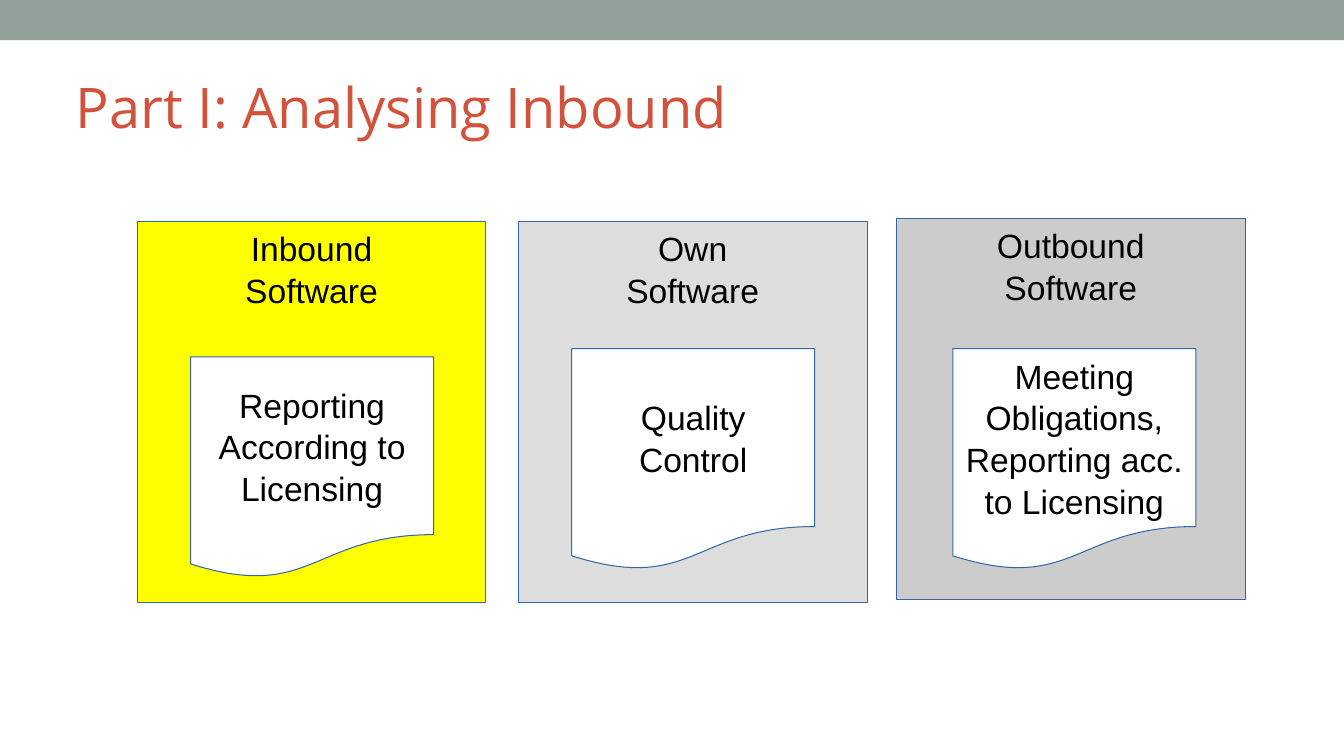
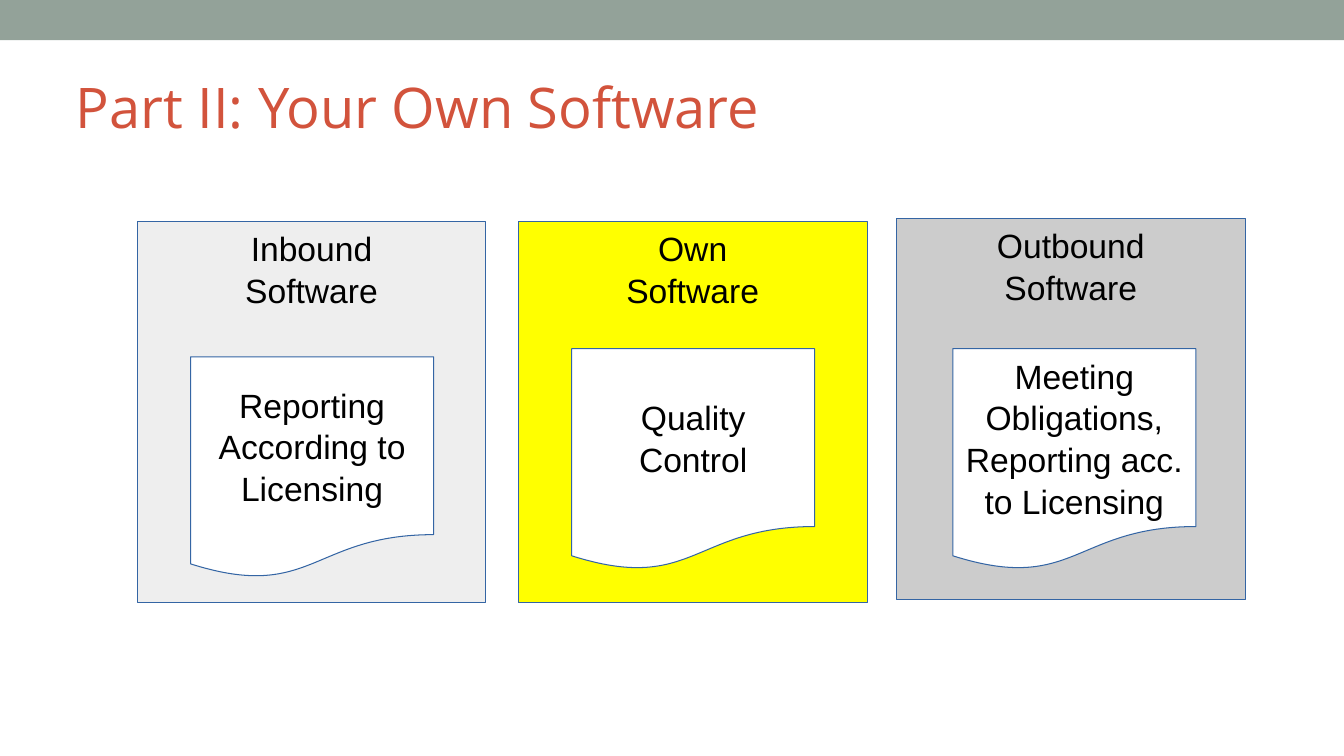
import dataclasses

import pptx
import pptx.dml.color
import pptx.enum.shapes
import pptx.enum.text
import pptx.util

Inches = pptx.util.Inches
Pt = pptx.util.Pt
RGB = pptx.dml.color.RGBColor.from_string
SHAPES = pptx.enum.shapes.MSO_SHAPE
ALIGN = pptx.enum.text.PP_ALIGN
ANCHOR = pptx.enum.text.MSO_ANCHOR


@dataclasses.dataclass(frozen=True)
class Theme:
    band: str = "93A299"
    heading: str = "D2533C"
    ink: str = "000000"
    outline: str = "3465A4"
    paper: str = "FFFFFF"
    highlight: str = "FFFF00"
    stages: tuple = ("EEEEEE", "DDDDDD", "CCCCCC")
    heading_font: str = "Open Sans"
    body_font: str = "Arial"
    heading_size: int = 40
    body_size: int = 24


theme = Theme()


def write(shape, text, font=theme.body_font, size=theme.body_size, color=theme.ink,
          align=ALIGN.CENTER, anchor=ANCHOR.TOP, inset=(0.1, 0.05), spacing=1.04):
    frame = shape.text_frame
    frame.word_wrap = True
    frame.vertical_anchor = anchor
    frame.margin_left = frame.margin_right = Inches(inset[0])
    frame.margin_top = frame.margin_bottom = Inches(inset[1])
    frame.text = text
    for paragraph in frame.paragraphs:
        paragraph.alignment = align
        paragraph.line_spacing = spacing
        for run in paragraph.runs:
            run.font.name = font
            run.font.size = Pt(size)
            run.font.color.rgb = RGB(color)


def draw(slide, preset, left, top, width, height, fill, line=None):
    shape = slide.shapes.add_shape(
        preset, Inches(left), Inches(top), Inches(width), Inches(height))
    shape.shadow.inherit = False
    shape.fill.solid()
    shape.fill.fore_color.rgb = RGB(fill)
    if line:
        shape.line.color.rgb = RGB(line)
        shape.line.width = Pt(0.75)
    else:
        shape.line.fill.background()
    return shape


SLIDE_W, SLIDE_H = 13.33, 7.5
COLUMN_STEP = 3.78
STAGE_LEFT, STAGE_TOP, STAGE_W, STAGE_H = 1.36, 2.2, 3.46, 3.78
TASK_LEFT, TASK_TOP, TASK_W, TASK_H = 1.89, 3.46, 2.41, 2.2

stages = [
    ("Inbound\nSoftware", (0, 0), "Reporting\vAccording to\vLicensing", 0.08),
    ("Own\nSoftware", (0, 0), "Quality\vControl", 0),
    ("Outbound\vSoftware", (-0.03, -0.03),
     "Meeting\vObligations,\nReporting acc.\vto Licensing", 0),
]
parts = [("Part I: Analysing Inbound", 0), ("Part II: Your Own Software", 1)]

deck = pptx.Presentation()
deck.slide_width = Inches(SLIDE_W)
deck.slide_height = Inches(SLIDE_H)

for heading, current in parts:
    slide = deck.slides.add_slide(deck.slide_layouts[6])
    draw(slide, SHAPES.RECTANGLE, 0, 0, SLIDE_W, 0.4, theme.band)
    title = slide.shapes.add_textbox(Inches(0.75), Inches(0.24), Inches(12), Inches(1.15))
    write(title, heading, font=theme.heading_font, size=theme.heading_size,
          color=theme.heading, align=ALIGN.LEFT, anchor=ANCHOR.BOTTOM,
          inset=(0, 0), spacing=1.0)

    for column, (stage, (shift_x, shift_y), task, task_drop) in enumerate(stages):
        offset = column * COLUMN_STEP
        fill = theme.highlight if column == current else theme.stages[column]
        panel = draw(slide, SHAPES.RECTANGLE, STAGE_LEFT + offset + shift_x,
                     STAGE_TOP + shift_y, STAGE_W, STAGE_H, fill, theme.outline)
        write(panel, stage)
        document = draw(slide, SHAPES.FLOWCHART_DOCUMENT, TASK_LEFT + offset,
                        TASK_TOP + task_drop, TASK_W, TASK_H, theme.paper, theme.outline)
        write(document, task, anchor=ANCHOR.MIDDLE)

deck.save("out.pptx")
